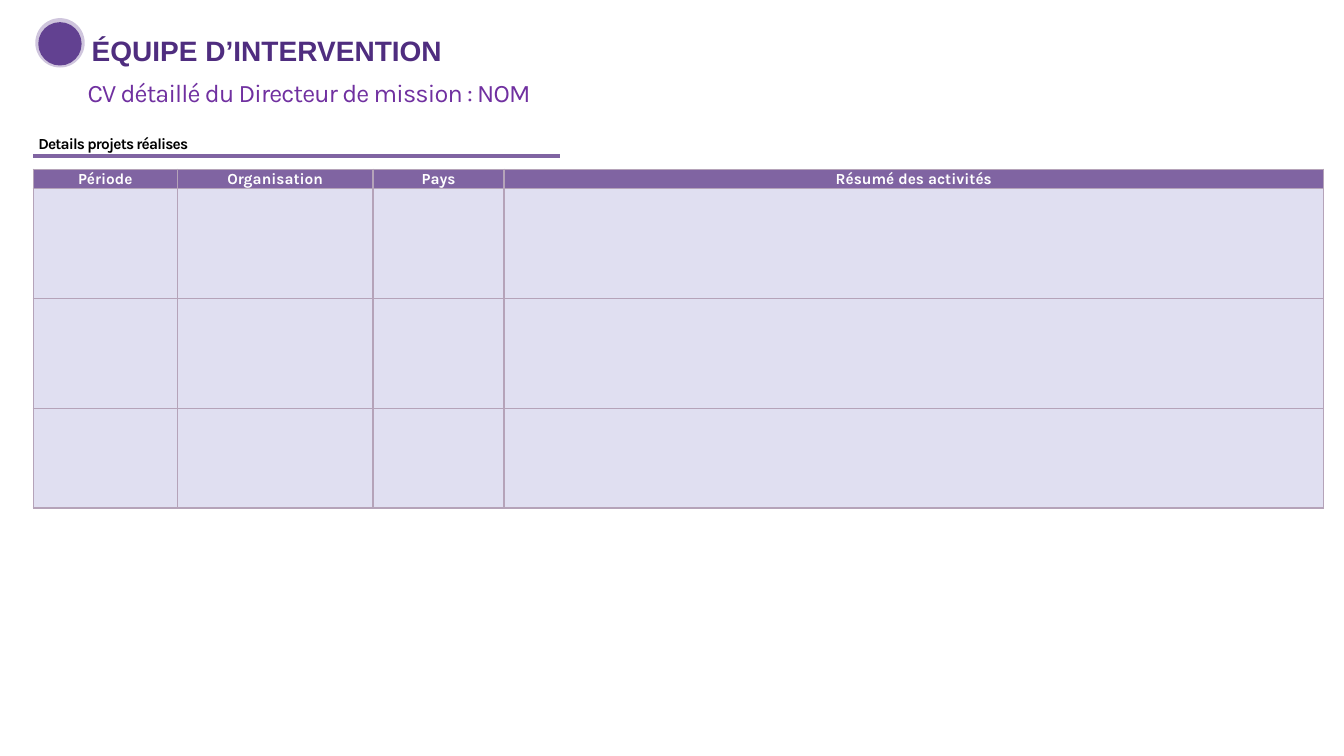
from lxml.etree import SubElement
from pptx import Presentation
from pptx.dml.color import RGBColor
from pptx.enum.shapes import MSO_CONNECTOR as Connector, MSO_SHAPE as Shape
from pptx.enum.text import MSO_ANCHOR as Anchor, PP_ALIGN as Align
from pptx.oxml.ns import qn
from pptx.util import Inches, Pt

TITLE = {
    "text": "ÉQUIPE D’INTERVENTION", "box": (0.91, 0.14, 7.16, 0.45),
    "insets": (0, 0.05, 0, 0.05), "color": "4F2D7F", "leading": 34,
    "font": {"name": "Arial", "size": Pt(20), "bold": True},
}
SUBTITLE = {
    "text": "CV détaillé du Directeur de mission : NOM", "box": (0.77, 0.72, 8.64, 0.45),
    "insets": (0.1, 0.05, 0.1, 0.05), "color": "7030A0", "tracking": -60,
    "font": {"name": "Karla", "size": Pt(18), "bold": False},
}
SECTION = {
    "text": "Details projets réalises", "box": (0.38, 1.33, 2.6, 0.19),
    "insets": (0, 0, 0, 0), "color": "000000", "tracking": -60,
    "font": {"name": "Karla", "size": Pt(11), "bold": True},
}
HEADINGS = {"Période": 1.43, "Organisation": 1.94, "Pays": 1.3, "Résumé des activités": 8.13}
HEADING_FONT = {"name": "Karla", "size": Pt(11), "bold": True}
ROW_HEIGHTS = [0.19, 1.09, 1.09, 0.99]
BADGE_RINGS = [
    (0.33, 0.15, 0.52, "FFFFFF", None),
    (0.35, 0.18, 0.49, "624191", 30),
    (0.38, 0.22, 0.43, "624191", None),
]
LEFT, RULE_RIGHT, RULE_TOP, TABLE_TOP = 0.33, 5.55, 1.55, 1.68
PURPLE, LAVENDER, GRID = "8064A2", "E0DFF1", "B5A3B9"
SIDES = ("left", "top", "right", "bottom")


def paint(target, color):
    if hasattr(target, "solid"):
        target.solid()
        target.fore_color.rgb = RGBColor.from_string(color)
    else:
        target.rgb = RGBColor.from_string(color)


def apply(target, values):
    for name, value in values.items():
        setattr(target, name, value)


def margins(target, insets):
    apply(target, {f"margin_{side}": Inches(inset) for side, inset in zip(SIDES, insets)})


def write(paragraph, text, font, color, tracking=None):
    run = paragraph.add_run()
    run.text = text
    apply(run.font, font)
    paint(run.font.color, color)
    if tracking:
        run.font._element.set("spc", str(tracking))


def add_label(slide, label):
    frame = slide.shapes.add_textbox(*map(Inches, label["box"])).text_frame
    frame.word_wrap = True
    margins(frame, label["insets"])
    paragraph = frame.paragraphs[0]
    if "leading" in label:
        paragraph.line_spacing = Pt(label["leading"])
    write(paragraph, label["text"], label["font"], label["color"], label.get("tracking"))


def add_badge(slide):
    badge = slide.shapes.add_group_shape()
    for left, top, size, color, alpha in BADGE_RINGS:
        ring = badge.shapes.add_shape(Shape.OVAL, *map(Inches, (left, top, size, size)))
        ring.shadow.inherit = False
        paint(ring.fill, color)
        if color == "FFFFFF":
            paint(ring.line.fill, color)
            ring.line.width = Pt(1.5)
        else:
            ring.line.fill.background()
        if alpha:
            tint = ring._element.spPr.find(qn("a:solidFill"))[0]
            SubElement(tint, qn("a:alpha"), val=str(alpha * 1000))


def add_rule(slide):
    ends = (LEFT, RULE_TOP, RULE_RIGHT, RULE_TOP)
    rule = slide.shapes.add_connector(Connector.STRAIGHT, *map(Inches, ends))
    paint(rule.line.fill, PURPLE)
    rule.line.width = Pt(2.5)
    SubElement(rule._element.spPr, qn("a:effectLst"))


def add_borders(cell):
    properties = cell._tc.get_or_add_tcPr()
    for position, side in enumerate(("a:lnL", "a:lnR", "a:lnT", "a:lnB")):
        border = SubElement(properties, qn(side), w=str(Pt(1)))
        fill = SubElement(border, qn("a:solidFill"))
        SubElement(fill, qn("a:srgbClr"), val=GRID)
        properties.insert(position, border)


def add_projects(slide):
    widths = list(HEADINGS.values())
    frame = (LEFT, TABLE_TOP, sum(widths), sum(ROW_HEIGHTS))
    projects = slide.shapes.add_table(len(ROW_HEIGHTS), len(widths), *map(Inches, frame)).table
    apply(projects, {"first_row": False, "horz_banding": False})
    for column, width in zip(projects.columns, widths):
        column.width = Inches(width)
    for index, (row, height) in enumerate(zip(projects.rows, ROW_HEIGHTS)):
        row.height = Inches(height)
        for cell, heading in zip(row.cells, HEADINGS):
            paint(cell.fill, LAVENDER if index else PURPLE)
            add_borders(cell)
            if index == 0:
                cell.vertical_anchor = Anchor.MIDDLE
                margins(cell, (0.02, 0, 0.02, 0))
                paragraph = cell.text_frame.paragraphs[0]
                apply(paragraph, {"alignment": Align.CENTER, "space_after": Pt(10)})
                write(paragraph, heading, HEADING_FONT, "FFFFFF")


def main():
    deck = Presentation()
    apply(deck, {"slide_width": Inches(13.33), "slide_height": Inches(7.5)})
    slide = deck.slides.add_slide(deck.slide_layouts[6])
    add_badge(slide)
    add_rule(slide)
    add_label(slide, SECTION)
    add_projects(slide)
    add_label(slide, SUBTITLE)
    add_label(slide, TITLE)
    deck.save("out.pptx")


if __name__ == "__main__":
    main()
